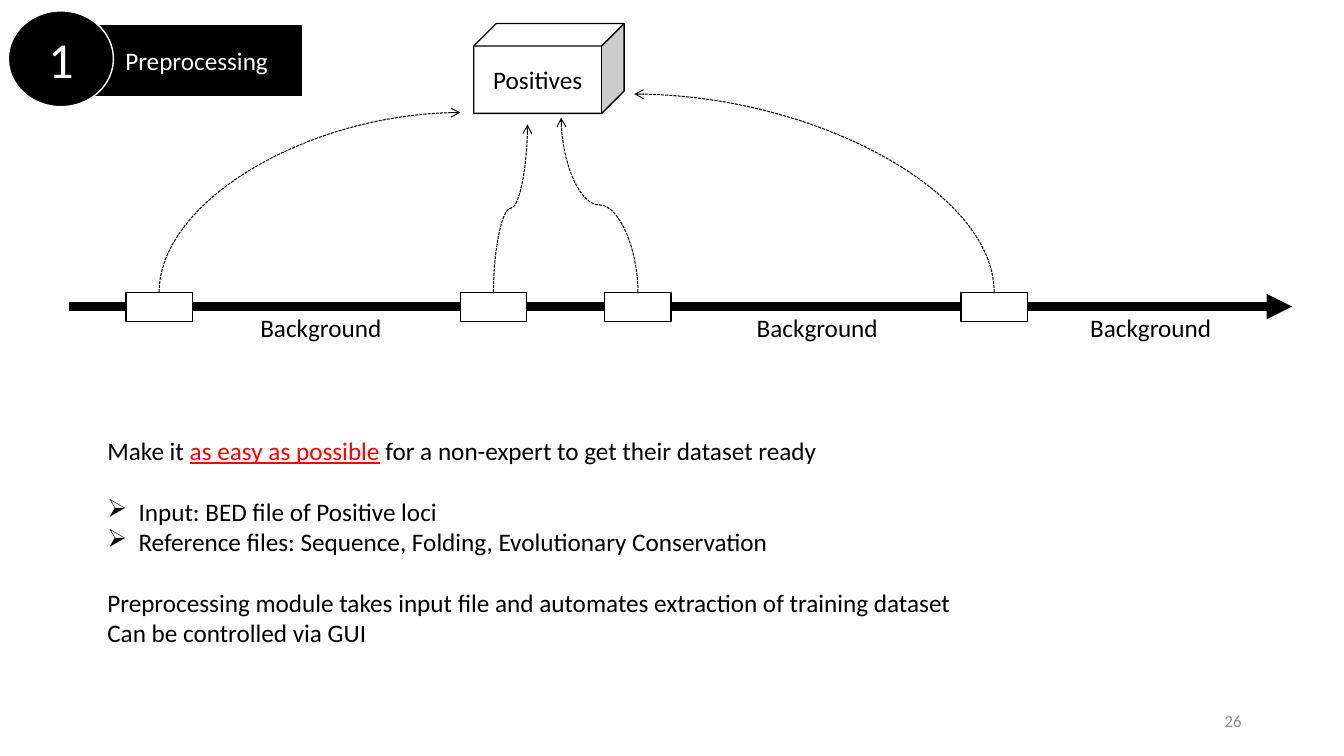
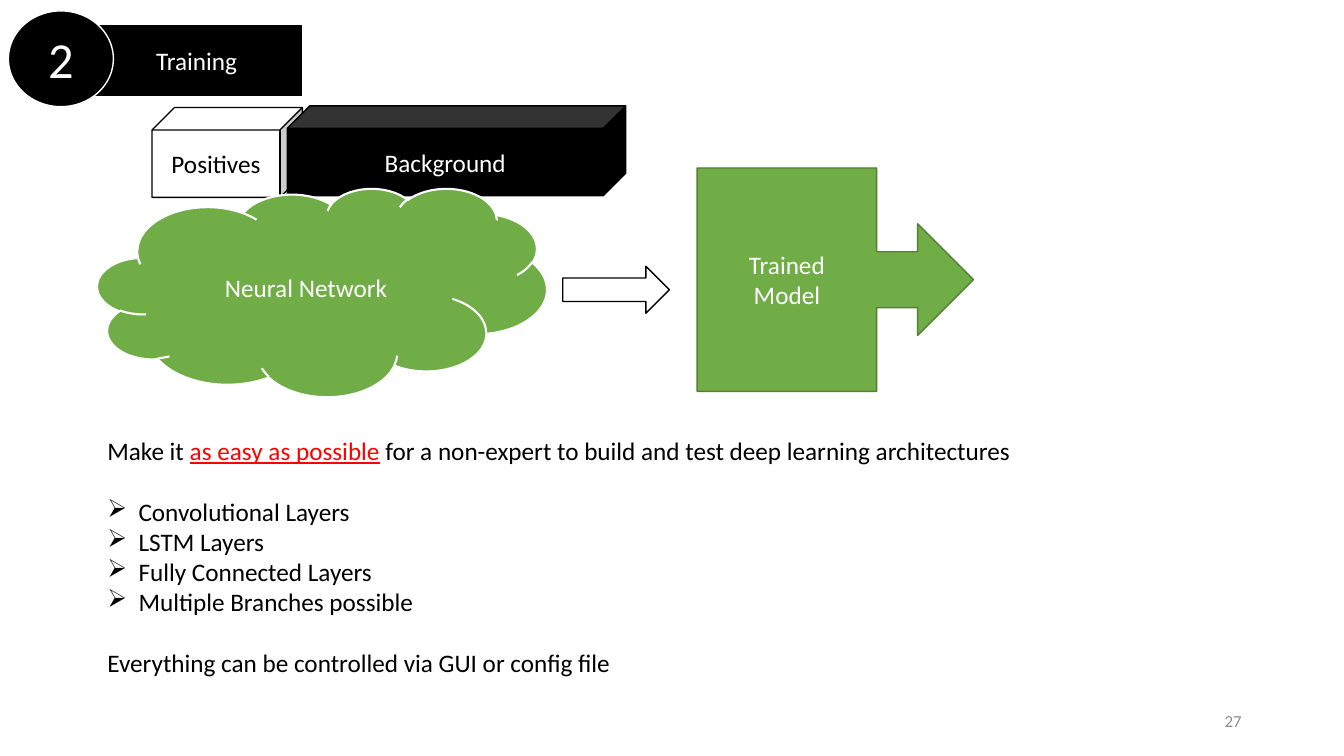
from lxml.etree import SubElement
from pptx import Presentation
from pptx.dml.color import RGBColor
from pptx.enum.dml import MSO_LINE
from pptx.enum.shapes import MSO_CONNECTOR, MSO_SHAPE
from pptx.enum.text import MSO_ANCHOR, MSO_AUTO_SIZE, PP_ALIGN
from pptx.oxml.ns import qn
from pptx.util import Inches, Pt

BLACK = RGBColor(0x00, 0x00, 0x00)
WHITE = RGBColor(0xFF, 0xFF, 0xFF)
RED = RGBColor(0xFF, 0x00, 0x00)
GRAY = RGBColor(0x8C, 0x8C, 0x8C)
GREEN = RGBColor(0x70, 0xAD, 0x47)
DARK_GREEN = RGBColor(0x53, 0x80, 0x35)

FONT = "Calibri"
TEXT_SIZE = 18
BLANK_LINE = Pt(22)
COLUMNS, ROWS = 160, 90
CELL = Inches(7.5) / ROWS
CUBE_WIDTH, CUBE_HEIGHT = 17.9, 10.7
LOCUS_TOP, LOCUS_WIDTH, LOCUS_HEIGHT = 34.8, 7.9, 3.5


def grid(*cells):
    return [round(cell * CELL) for cell in cells]


class Deck:
    """Draws styled elements on the current slide, measured in grid cells."""

    def __init__(self):
        self.presentation = Presentation()
        self.presentation.slide_width, self.presentation.slide_height = grid(COLUMNS, ROWS)
        self.slide = None

    def start_slide(self, step, title, page):
        self.slide = self.presentation.slides.add_slide(self.presentation.slide_layouts[5])
        heading = self.slide.shapes.title
        heading.left, heading.top, heading.width, heading.height = grid(10.2, 3, 25.7, 8.4)
        geometry = SubElement(heading._element.spPr, qn("a:prstGeom"), prst="roundRect")
        SubElement(geometry, qn("a:avLst"))
        self.paint(heading, BLACK, BLACK, 1)
        frame = heading.text_frame
        frame.auto_size = MSO_AUTO_SIZE.NONE
        frame.vertical_anchor = MSO_ANCHOR.MIDDLE
        frame.margin_left = Inches(0.16)
        frame.text = title
        self.format(frame.paragraphs[0], WHITE, align=PP_ALIGN.CENTER)
        self.shape(MSO_SHAPE.OVAL, (1, 1.3, 12.5, 11.4), BLACK, WHITE, step, size=36)
        self.label(page, (113, 83.4, 36, 4.8), GRAY, 12, PP_ALIGN.RIGHT, MSO_ANCHOR.MIDDLE)

    def format(self, paragraph, color, size=TEXT_SIZE, align=PP_ALIGN.LEFT):
        paragraph.alignment = align
        paragraph.font.name = FONT
        paragraph.font.size = Pt(size)
        paragraph.font.color.rgb = color

    def paint(self, shape, fill, line, width):
        shape.shadow.inherit = False
        shape.fill.solid()
        shape.fill.fore_color.rgb = fill
        shape.line.color.rgb = line
        shape.line.width = Pt(width)

    def shape(self, kind, box, fill, line, text="", color=WHITE, size=TEXT_SIZE, width=1):
        shape = self.slide.shapes.add_shape(kind, *grid(*box))
        self.paint(shape, fill, line, width)
        if text:
            shape.text_frame.text = text
            shape.text_frame.vertical_anchor = MSO_ANCHOR.MIDDLE
            for paragraph in shape.text_frame.paragraphs:
                self.format(paragraph, color, size, PP_ALIGN.CENTER)

    def positives(self, left, top):
        box = left, top, CUBE_WIDTH, CUBE_HEIGHT
        self.shape(MSO_SHAPE.CUBE, box, WHITE, BLACK, "Positives", BLACK)

    def label(self, text, box, color=BLACK, size=TEXT_SIZE, align=PP_ALIGN.LEFT,
              anchor=MSO_ANCHOR.TOP):
        frame = self.slide.shapes.add_textbox(*grid(*box)).text_frame
        frame.word_wrap = True
        frame.vertical_anchor = anchor
        frame.text = text
        self.format(frame.paragraphs[0], color, size, align)

    def arrow(self, kind, begin, end, width, head):
        connector = self.slide.shapes.add_connector(kind, *grid(*begin, *end))
        connector.line.color.rgb = BLACK
        connector.line.width = Pt(width)
        properties = connector._element.spPr
        SubElement(connector.line._get_or_add_ln(), qn("a:tailEnd"), type=head)
        SubElement(properties, qn("a:effectLst"))
        return connector

    def rising_curve(self, begin, end, preset):
        run, rise = end[0] - begin[0], begin[1] - end[1]
        middle_x, middle_y = (begin[0] + end[0]) / 2, (begin[1] + end[1]) / 2
        connector = self.arrow(
            MSO_CONNECTOR.CURVE,
            (middle_x - rise / 2, middle_y - run / 2),
            (middle_x + rise / 2, middle_y + run / 2),
            0.75, "arrow")
        connector.line.dash_style = MSO_LINE.SQUARE_DOT
        properties = connector._element.spPr
        properties.find(qn("a:xfrm")).set("rot", str(270 * 60000))
        properties.find(qn("a:prstGeom")).set("prst", preset)

    def body(self, goal, bullets, closing, height):
        frame = self.slide.shapes.add_textbox(*grid(11.6, 51.2, 135.4, height)).text_frame
        frame.word_wrap = True
        opening = frame.paragraphs[0]
        self.format(opening, BLACK)
        for text, stressed in (("Make it ", False), ("as easy as possible", True),
                               (f" for a non-expert to {goal}", False)):
            run = opening.add_run()
            run.text = text
            if stressed:
                run.font.color.rgb = RED
                run.font.underline = True
        for group, bulleted in ((bullets, True), (closing, False)):
            for index, text in enumerate(group):
                paragraph = frame.add_paragraph()
                paragraph.text = text
                if index == 0:
                    paragraph.space_before = BLANK_LINE
                if bulleted:
                    self.bullet(paragraph)
                self.format(paragraph, BLACK)

    def bullet(self, paragraph):
        properties = paragraph._p.get_or_add_pPr()
        indent = Inches(0.31)
        properties.set("marL", str(indent))
        properties.set("indent", str(-indent))
        SubElement(properties, qn("a:buChar"), char="➢")


def draw_preprocessing(deck):
    deck.start_slide("1", "Preprocessing", "26")
    deck.arrow(MSO_CONNECTOR.STRAIGHT, (8.2, 36.5), (153.8, 36.5), 6, "triangle")
    for left, target, preset in (
            (15, (54.8, 13.4), "curvedConnector2"),
            (54.8, (62.8, 14.8), "curvedConnector3"),
            (72, (66.8, 14), "curvedConnector3"),
            (114.4, (75.5, 11.2), "curvedConnector2")):
        box = left, LOCUS_TOP, LOCUS_WIDTH, LOCUS_HEIGHT
        deck.shape(MSO_SHAPE.RECTANGLE, box, WHITE, BLACK)
        deck.rising_curve((left + LOCUS_WIDTH / 2, LOCUS_TOP), target, preset)
    deck.positives(56.4, 2.8)
    for left in (29.8, 88.9, 128.6):
        deck.label("Background", (left, 36.6, 18.6, 4.8))
    deck.body(
        "get their dataset ready",
        ["Input: BED file of Positive loci",
         "Reference files: Sequence, Folding, Evolutionary Conservation"],
        ["Preprocessing module takes input file and automates extraction of training dataset",
         "Can be controlled via GUI"],
        26.6)


def draw_training(deck):
    deck.start_slide("2", "Training", "27")
    deck.positives(18.1, 12.8)
    deck.body(
        "build and test deep learning architectures",
        ["Convolutional Layers", "LSTM Layers", "Fully Connected Layers",
         "Multiple Branches possible"],
        ["Everything can be controlled via GUI or config file"],
        30.2)
    deck.shape(MSO_SHAPE.CUBE, (34.2, 12.6, 40.3, CUBE_HEIGHT), BLACK, BLACK, "Background")
    deck.shape(MSO_SHAPE.CLOUD, (11.6, 22.4, 53.5, 24.8), GREEN, WHITE, "Neural Network",
               width=1.5)
    deck.shape(MSO_SHAPE.RIGHT_ARROW, (67, 31.7, 12.7, 5.6), WHITE, BLACK)
    deck.shape(MSO_SHAPE.RIGHT_ARROW_CALLOUT, (83, 20, 32.9, 26.6), GREEN, DARK_GREEN,
               "Trained\nModel")


def main():
    deck = Deck()
    draw_preprocessing(deck)
    draw_training(deck)
    deck.presentation.save("out.pptx")


if __name__ == "__main__":
    main()
